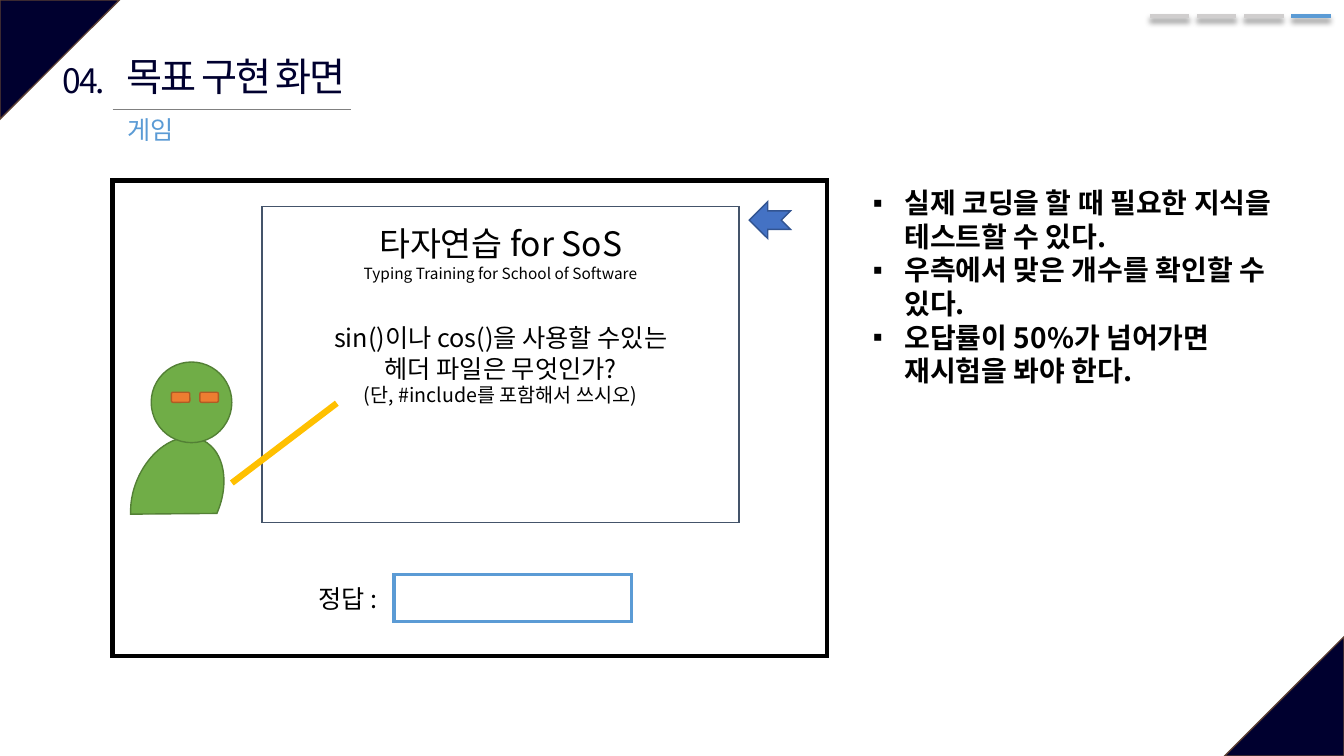
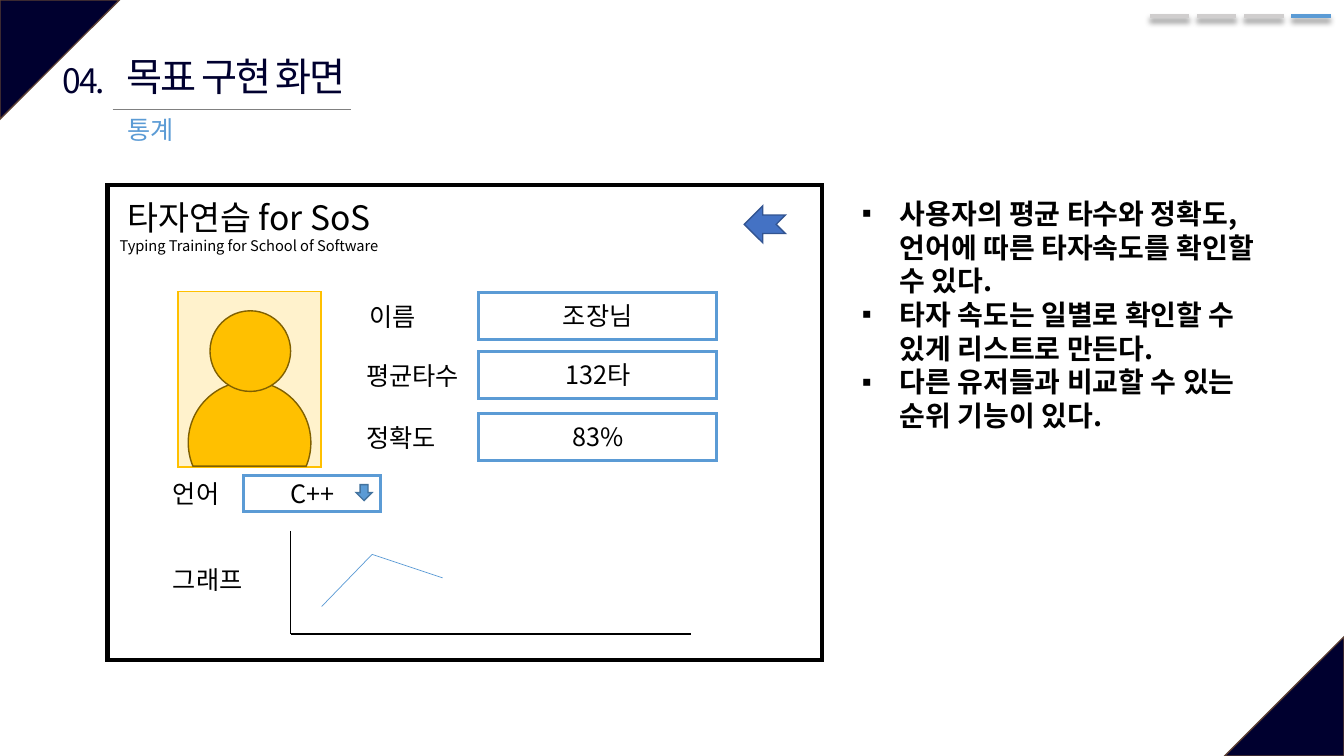
import dataclasses
import itertools
import typing

import lxml.etree
import pptx
import pptx.dml.color
import pptx.enum.shapes
import pptx.enum.text
import pptx.oxml.ns
import pptx.util

COLS, ROWS = 160, 90
WIDTH, HEIGHT = pptx.util.Inches(13.33), pptx.util.Inches(7.5)
FONT = "Noto Sans CJK KR"
HUES = {
    "navy": "00002F", "brown": "5B3F33", "grey": "D0CECE", "rule": "808080",
    "sky": "5B9BD5", "steel": "43739E", "slate": "44546A", "black": "000000",
    "white": "FFFFFF", "blue": "4472C4", "ocean": "325491", "green": "70AD47",
    "moss": "538035", "gold": "FFC000", "cream": "FFF2CC", "olive": "806000",
    "orange": "ED7D31", "rust": "AF5C24",
}
KIND = pptx.enum.shapes.MSO_SHAPE
ALIGN = pptx.enum.text.PP_ALIGN
ANCHOR = pptx.enum.text.MSO_ANCHOR
GROW = pptx.enum.text.MSO_AUTO_SIZE.SHAPE_TO_FIT_TEXT


class Box(typing.NamedTuple):
    col: float
    row: float
    wide: float
    high: float


class Spot(typing.NamedTuple):
    col: float
    row: float


@dataclasses.dataclass(frozen=True)
class Look:
    fill: str
    line: str
    weight: float = 1
    turn: float = 0


@dataclasses.dataclass(frozen=True)
class Type:
    sizes: tuple[float, ...] = (18,)
    hue: str = "black"
    align: typing.Any = ALIGN.LEFT
    bold: bool = False
    track: int = 0


@dataclasses.dataclass(frozen=True)
class Label:
    text: str
    box: Box


@dataclasses.dataclass(frozen=True)
class Field:
    label: Label
    value: str
    row: float


@dataclasses.dataclass(frozen=True)
class Notes:
    box: Box
    indent: float
    items: tuple[str, ...]


CENTRED = Type(align=ALIGN.CENTER)
FRAME = Look("white", "black", 3)
ENTRY = Look("white", "sky", 2.25)
HEADING = Type((28,), "navy", ALIGN.CENTER, track=-150)
NUMBER = dataclasses.replace(HEADING, sizes=(24,))

GAME = Notes(Box(102.7, 21.5, 53.4, 29), 3.75, (
    "실제 코딩을 할 때 필요한 지식을 테스트할 수 있다.",
    "우측에서 맞은 개수를 확인할 수 있다.",
    "오답률이 50%가 넘어가면 재시험을 봐야 한다.",
))
STATS = Notes(Box(101.4, 22.8, 51.4, 33.1), 4.5, (
    "사용자의 평균 타수와 정확도, 언어에 따른 타자속도를 확인할 수 있다.",
    "타자 속도는 일별로 확인할 수 있게 리스트로 만든다.",
    "다른 유저들과 비교할 수 있는 순위 기능이 있다.",
))
FIELDS = (
    Field(Label("이름", Box(42.8, 35.3, 8.5, 4.8)), "조장님", 34.8),
    Field(Label("평균타수", Box(42.4, 42.3, 14.5, 4.8)), "132타", 41.8),
    Field(Label("정확도", Box(42.4, 49.7, 11.5, 4.8)), "83%", 49.2),
)


def across(cols: float) -> int:
    return round(WIDTH * cols / COLS)


def down(rows: float) -> int:
    return round(HEIGHT * rows / ROWS)


def place(box: Box) -> tuple[int, int, int, int]:
    return across(box.col), down(box.row), across(box.wide), down(box.high)


def tint(name: str) -> pptx.dml.color.RGBColor:
    return pptx.dml.color.RGBColor.from_string(HUES[name])


def child(parent: typing.Any, tag: str, **attrs: typing.Any) -> typing.Any:
    return lxml.etree.SubElement(
        parent, pptx.oxml.ns.qn(tag), {key: str(val) for key, val in attrs.items()})


def write(frame: typing.Any, text: str, style: Type) -> None:
    frame.text = text
    sizes = itertools.chain(style.sizes, itertools.repeat(style.sizes[-1]))
    for para, size in zip(frame.paragraphs, sizes):
        para.alignment = style.align
        for run in para.runs:
            run.font.name = FONT
            run.font.size = pptx.util.Pt(size)
            run.font.bold = style.bold
            run.font.color.rgb = tint(style.hue)
            props = run.font._element
            child(props, "a:ea", typeface=FONT)
            if style.track:
                props.set("spc", str(style.track))


def fit(frame: typing.Any, wrap: bool) -> None:
    frame.word_wrap = wrap
    frame.auto_size = GROW
    frame.vertical_anchor = ANCHOR.TOP


def note(shapes: typing.Any, label: Label, style: Type = Type(), wrap: bool = False) -> None:
    frame = shapes.add_textbox(*place(label.box)).text_frame
    write(frame, label.text, style)
    fit(frame, wrap)


def draw(shapes: typing.Any, kind: typing.Any, box: Box, look: Look,
         text: str = "", style: Type = CENTRED) -> typing.Any:
    shape = shapes.add_shape(kind, *place(box))
    shape.shadow.inherit = False
    shape.rotation = look.turn
    shape.fill.solid()
    shape.fill.fore_color.rgb = tint(look.fill)
    shape.line.color.rgb = tint(look.line)
    shape.line.width = pptx.util.Pt(look.weight)
    child(shape.element.spPr.find(pptx.oxml.ns.qn("a:ln")), "a:miter", lim=800000)
    if text:
        write(shape.text_frame, text, style)
        shape.text_frame.vertical_anchor = ANCHOR.MIDDLE
    return shape


def trace(shapes: typing.Any, spots: typing.Sequence[Spot], hue: str,
          weight: float, shade: bool = False) -> None:
    for start, end in itertools.pairwise(spots):
        line = shapes.add_connector(
            pptx.enum.shapes.MSO_CONNECTOR.STRAIGHT,
            across(start.col), down(start.row), across(end.col), down(end.row))
        line.line.color.rgb = tint(hue)
        line.line.width = pptx.util.Pt(weight)
        effects = child(line.element.spPr, "a:effectLst")
        if shade:
            cast = child(effects, "a:outerShdw", blurRad=pptx.util.Pt(4),
                         dist=pptx.util.Pt(3), dir=5400000, algn="t", rotWithShape=0)
            black = child(cast, "a:srgbClr", val=HUES["black"])
            child(black, "a:alpha", val=40000)


def list_notes(body: typing.Any, notes: Notes) -> None:
    body.left, body.top, body.width, body.height = place(notes.box)
    write(body.text_frame, "\n".join(notes.items), Type((20,), bold=True))
    fit(body.text_frame, True)
    for para in body.text_frame.paragraphs:
        para.space_before = pptx.util.Pt(0)
        props = para._p.get_or_add_pPr()
        props.set("marL", str(across(notes.indent)))
        props.set("indent", str(-across(notes.indent)))
        child(props, "a:buChar", char="▪")


def start(deck: typing.Any, topic: str, notes: Notes) -> typing.Any:
    slide = deck.slides.add_slide(deck.slide_layouts[1])
    shapes = slide.shapes
    side = 14.2
    for col, row, turn in ((0, 0, 90), (COLS - side, ROWS - side, 270)):
        corner = draw(shapes, KIND.ISOSCELES_TRIANGLE, Box(col, row, side, side),
                      Look("navy", "brown", turn=turn))
        corner.adjustments[0] = 0
    for step, hue in enumerate(("grey", "grey", "grey", "sky")):
        left = 136.9 + 5.6 * step
        trace(shapes, (Spot(left, 1.9), Spot(left + 4.7, 1.9)), hue, 3.5, True)
    trace(shapes, (Spot(13.4, 13), Spot(41.8, 13)), "rule", 0.5)
    title = shapes.title
    title.left, title.top, title.width, title.height = place(Box(12.8, 5.6, 30.6, 6.8))
    write(title.text_frame, "목표 구현 화면", HEADING)
    fit(title.text_frame, False)
    note(shapes, Label("04.", Box(6, 6.6, 8, 6)), NUMBER)
    note(shapes, Label(topic, Box(14, 13, 21.8, 4.8)), Type(hue="sky"), True)
    list_notes(slide.placeholders[1], notes)
    return shapes.add_group_shape().shapes


def panel(art: typing.Any, spot: Spot) -> None:
    draw(art, KIND.RECTANGLE, Box(*spot, 85.1, 56.6), FRAME)
    draw(art, KIND.NOTCHED_RIGHT_ARROW,
         Box(spot.col + 75.8, spot.row + 2.5, 4.9, 4.4), Look("blue", "ocean", turn=180))


def banner(art: typing.Any, box: Box, small: float) -> None:
    note(art, Label("타자연습 for SoS\nTyping Training for School of Software", box),
         Type((24, small), align=ALIGN.CENTER))


def person(art: typing.Any, torso: Box, head: Spot, look: Look) -> None:
    draw(art, KIND.CHORD, torso, look)
    draw(art, KIND.OVAL, Box(*head, 9.6, 9.6), dataclasses.replace(look, turn=0))


def game(deck: typing.Any) -> None:
    art = start(deck, "게임", GAME)
    panel(art, Spot(13.4, 21.5))
    draw(art, KIND.RECTANGLE, Box(31.2, 24.6, 56.8, 37.6), Look("white", "slate"),
         "sin()이나 cos()을 사용할 수있는\n헤더 파일은 무엇인가?\n(단, #include를 포함해서 쓰시오)",
         Type((18, 18, 14), align=ALIGN.CENTER))
    banner(art, Box(42, 26, 35.2, 8.3), 11)
    draw(art, KIND.RECTANGLE, Box(46.9, 68.4, 28.3, 5.6), ENTRY)
    note(art, Label("정답 :", Box(36.7, 68.8, 10.2, 4.8)))
    person(art, Box(13.8, 53.9, 14.6, 10.3), Spot(18, 43.1), Look("green", "moss", turn=113.7))
    trace(art, (Spot(27.6, 57.5), Spot(40.1, 48)), "gold", 4.5)
    for eye in range(2):
        draw(art, KIND.ROUNDED_RECTANGLE, Box(20.4 + 3.4 * eye, 46.7, 2.2, 1.2),
             Look("orange", "rust"))


def stats(deck: typing.Any) -> None:
    art = start(deck, "통계", STATS)
    panel(art, Spot(12.8, 22))
    banner(art, Box(12.8, 22.8, 33.7, 8.2), 10.5)
    draw(art, KIND.RECTANGLE, Box(21.2, 34.7, 17, 20.9), Look("cream", "gold"))
    person(art, Box(22.4, 45.4, 14.6, 14.6), Spot(25, 37), Look("gold", "olive", turn=112.5))
    for field in FIELDS:
        note(art, field.label)
        draw(art, KIND.RECTANGLE, Box(57, field.row, 28.3, 5.6), ENTRY, field.value)
    note(art, Label("언어", Box(19.4, 56.3, 8.5, 4.8)))
    draw(art, KIND.RECTANGLE, Box(29, 56.6, 16.3, 4.3), ENTRY, "C++")
    draw(art, KIND.DOWN_ARROW, Box(42.4, 57.7, 1.9, 1.9), Look("sky", "steel"))
    note(art, Label("그래프", Box(19.4, 66.6, 11.5, 4.8)))
    trace(art, (Spot(34.6, 63.2), Spot(34.6, 75.5), Spot(82.3, 75.5)), "black", 1)
    trace(art, (Spot(38.3, 72.2), Spot(44.3, 66), Spot(52.7, 68.8)), "sky", 0.5)


def main() -> None:
    deck = pptx.Presentation()
    deck.slide_width, deck.slide_height = WIDTH, HEIGHT
    game(deck)
    stats(deck)
    deck.save("out.pptx")


if __name__ == "__main__":
    main()
